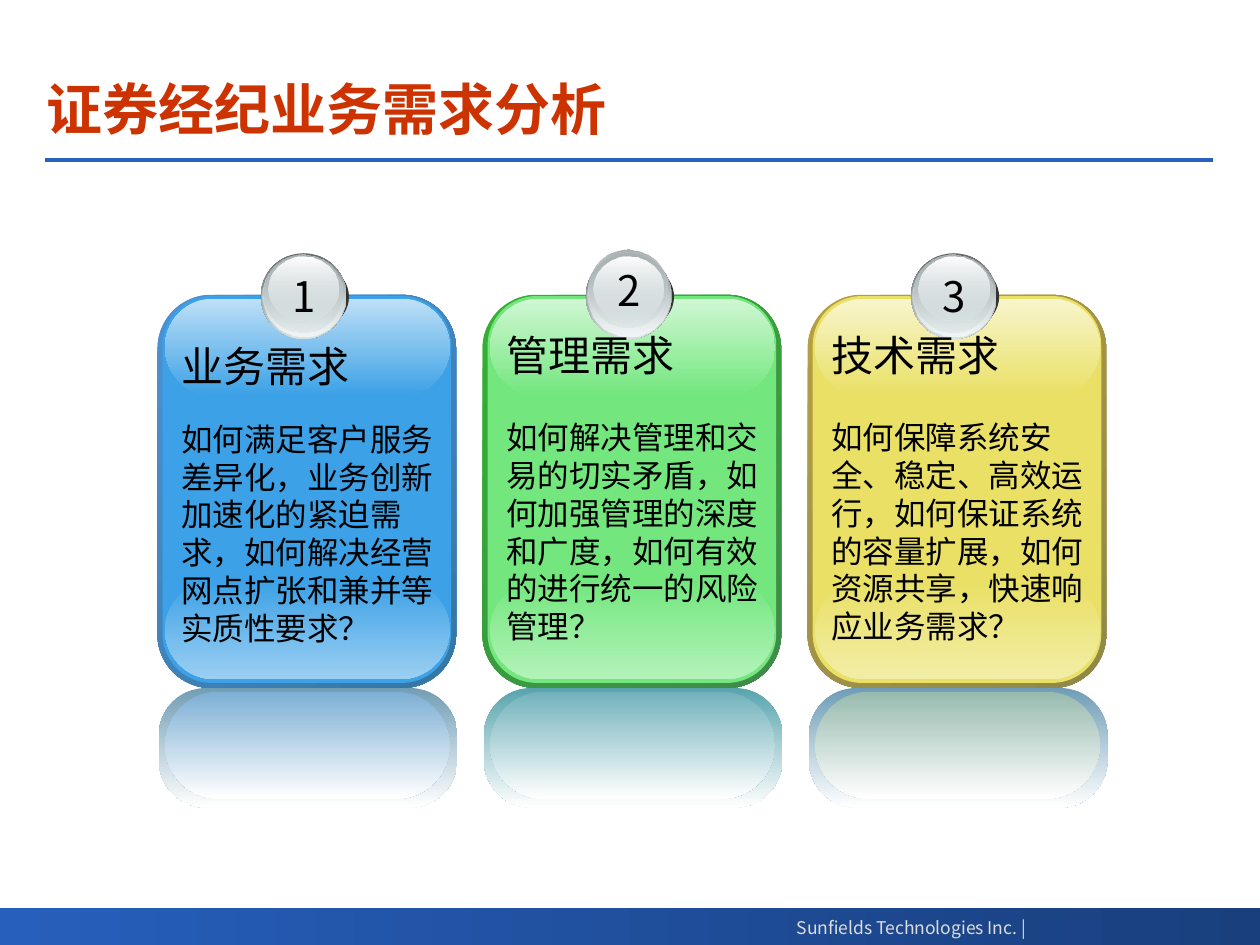
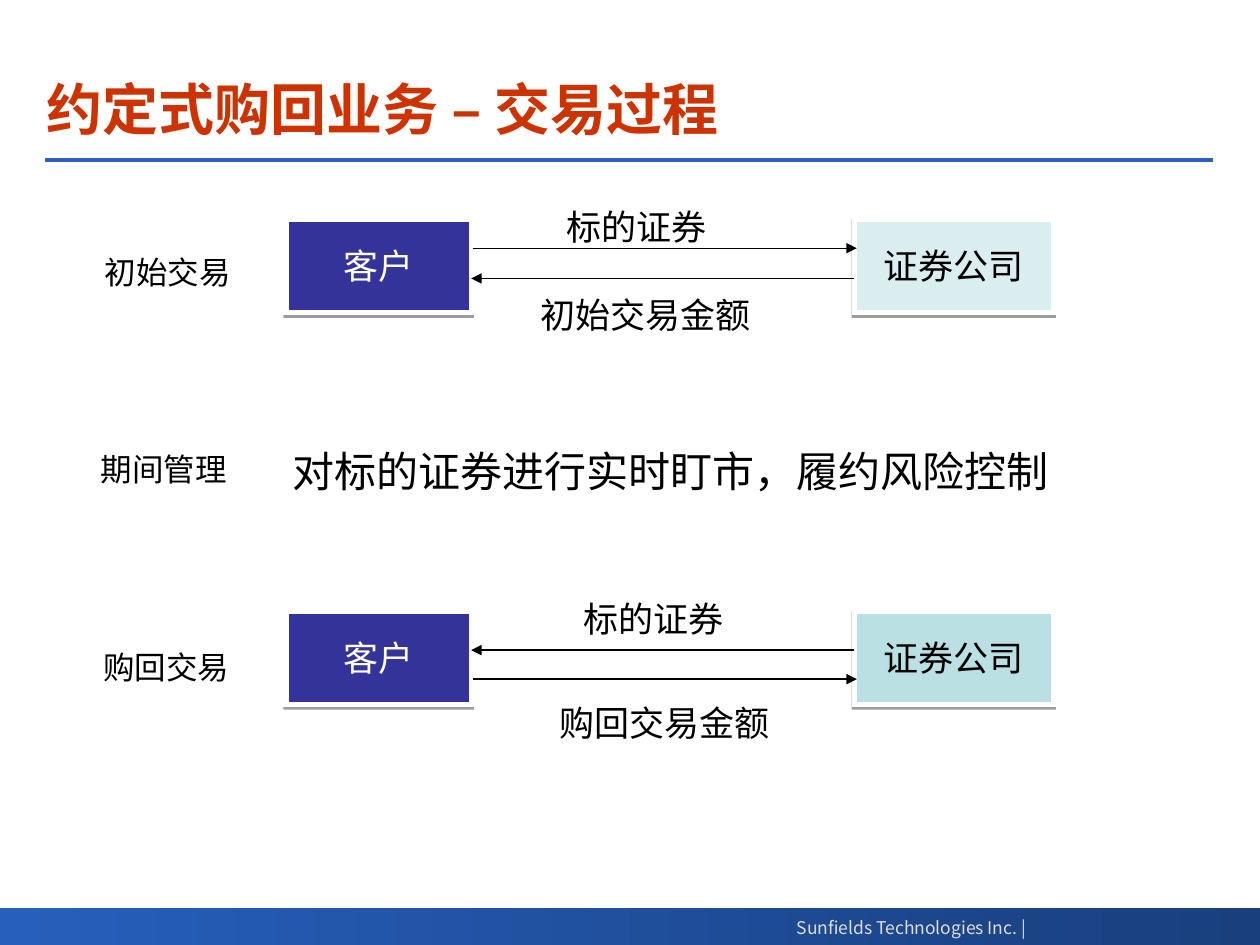
from lxml import etree
from pptx import Presentation
from pptx.dml.color import RGBColor
from pptx.enum.shapes import MSO_CONNECTOR, MSO_SHAPE
from pptx.enum.text import MSO_ANCHOR, PP_ALIGN
from pptx.oxml.ns import qn
from pptx.util import Inches, Pt

FONT = "Noto Sans CJK SC"
FOOTER = "Sunfields Technologies Inc. |"
RGB = RGBColor.from_string
BLACK, WHITE = RGB("000000"), RGB("FFFFFF")
TITLE_RED, RULE_BLUE = RGB("CC3300"), RGB("2A60C0")
BAND_LEFT, BAND_RIGHT = RGB("265FBC"), RGB("193F7D")
FOOTER_GREY, BADGE_SHADE = RGB("DDDDDD"), RGB("333333")
STEEL, SILVER = RGB("636869"), RGB("D6E1E2")
PEARL, PEWTER = RGB("F1F5F5"), RGB("AAB2B3")
NAVY, PALE_TEAL, TEAL = RGB("333399"), RGB("DAEDEF"), RGB("BBE0E3")

NEEDS_TITLE = "证券经纪业务需求分析"
CARDS = [
    dict(number="1", heading="业务需求", gap=16.8, text_top=2.65, number_top=2.1, ring_top=2.02,
         body="如何满足客户服务差异化，业务创新加速化的紧迫需求，如何解决经营网点扩张和兼并等实质性要求？",
         edge=(RGB("4E91D4"), RGB("3477A4")), face=RGB("3CA1E6"),
         top=RGB("BEE0F7"), bottom=RGB("9BCFF2"), mirror=(RGB("729EB4"), RGB("7DAFD4"))),
    dict(number="2", heading="管理需求", gap=21.6, text_top=2.57, number_top=2.05, ring_top=1.98,
         body="如何解决管理和交易的切实矛盾，如何加强管理的深度和广度，如何有效的进行统一的风险管理？",
         edge=(RGB("34B034"), RGB("3F8B4A")), face=RGB("73E77E"),
         top=RGB("D0F7D4"), bottom=RGB("B3F2B9"), mirror=(RGB("58A4AE"), RGB("72B2BB"))),
    dict(number="3", heading="技术需求", gap=21.6, text_top=2.57, number_top=2.1, ring_top=2.02,
         body="如何保障系统安全、稳定、高效运行，如何保证系统的容量扩展，如何资源共享，快速响应业务需求？",
         edge=(RGB("B59F43"), RGB("8F8849")), face=RGB("E9E065"),
         top=RGB("F8F5CC"), bottom=RGB("F2EDA6"), mirror=(RGB("6F9DB7"), RGB("98BAAF"))),
]
CARD_LEFT, CARD_PITCH = 1.25, 2.58

PROCESS_TITLE = "约定式购回业务 – 交易过程"
STAGES = [("初始交易", 0.7, 1.96), ("期间管理", 0.67, 3.53), ("购回交易", 0.69, 5.1)]
MONITORING = "对标的证券进行实时盯市，履约风险控制"
CLIENT, BROKER = "客户", "证券公司"
TRADES = [
    dict(top=1.74, broker_fill=PALE_TEAL, right_y=1.97, left_y=2.21,
         labels=[("初始交易金额", 4.14, 2.28, 1.97, 0.36), ("标的证券", 4.07, 1.58, 1.97, 0.41)]),
    dict(top=4.85, broker_fill=TEAL, right_y=5.39, left_y=5.16,
         labels=[("购回交易金额", 3.91, 5.52, 2.73, 0.44), ("标的证券", 3.98, 4.69, 2.42, 0.41)]),
]


def write(p, text, size=18, color=BLACK, bold=False, align=PP_ALIGN.LEFT):
    p.alignment = align
    p._p.get_or_add_pPr().set("hangingPunct", "0")
    r = p.add_run()
    r.text = text
    r.font.size, r.font.bold, r.font.name = Pt(size), bold, FONT
    r.font.color.rgb = color
    etree.SubElement(r._r.get_or_add_rPr(), qn("a:ea"), typeface=FONT)


def add_text(slide, text, x, y, w, h, wrap=True, anchor=MSO_ANCHOR.TOP, inset=None, **fmt):
    tf = slide.shapes.add_textbox(Inches(x), Inches(y), Inches(w), Inches(h)).text_frame
    tf.word_wrap, tf.vertical_anchor = wrap, anchor
    if inset is not None:
        tf.margin_left = tf.margin_right = tf.margin_top = tf.margin_bottom = Inches(inset)
    write(tf.paragraphs[0], text, **fmt)
    return tf


def add_shape(slide, kind, x, y, w, h, fill, radius=None, angle=90, alphas=(100, 100)):
    sp = slide.shapes.add_shape(kind, Inches(x), Inches(y), Inches(w), Inches(h))
    sp.shadow.inherit = False
    sp.line.fill.background()
    if radius is not None:
        sp.adjustments[0] = radius
    if isinstance(fill, RGBColor):
        sp.fill.solid()
        sp.fill.fore_color.rgb = fill
        return sp
    sp.fill.gradient()
    sp.fill.gradient_angle = (360 - angle) % 360
    for stop, color in zip(sp.fill.gradient_stops, fill):
        stop.color.rgb = color
    for clr, alpha in zip(sp._element.spPr.iter(qn("a:srgbClr")), alphas):
        if alpha < 100:
            etree.SubElement(clr, qn("a:alpha"), val=str(alpha * 1000))
    return sp


def add_box(slide, text, x, y, w, h, fill=WHITE, anchor=MSO_ANCHOR.MIDDLE, **fmt):
    sp = add_shape(slide, MSO_SHAPE.RECTANGLE, x, y, w, h, fill)
    sp.text_frame.word_wrap, sp.text_frame.vertical_anchor = True, anchor
    write(sp.text_frame.paragraphs[0], text, align=PP_ALIGN.CENTER, **fmt)
    return sp


def add_party(slide, text, x, y, w, fill, color):
    sp = add_box(slide, text, x, y, w, 0.74, fill, size=20, color=color)
    sp.line.color.rgb, sp.line.width = WHITE, Pt(3)
    etree.SubElement(sp.line._get_or_add_ln(), qn("a:miter"), lim="800000")
    effects = sp._element.spPr.find(qn("a:effectLst"))
    shadow = etree.SubElement(effects, qn("a:outerShdw"), blurRad="0", dist=str(Pt(1.6)),
                              dir="5400000", rotWithShape="0")
    clr = etree.SubElement(shadow, qn("a:srgbClr"), val=str(BLACK))
    etree.SubElement(clr, qn("a:alpha"), val="38000")


def add_line(slide, x1, x2, y, color=BLACK, width=0.75, arrow=True):
    cx = slide.shapes.add_connector(MSO_CONNECTOR.STRAIGHT, Inches(x1), Inches(y), Inches(x2), Inches(y))
    cx.line.color.rgb, cx.line.width = color, Pt(width)
    if arrow:
        etree.SubElement(cx.line._get_or_add_ln(), qn("a:tailEnd"), type="triangle")
    etree.SubElement(cx._element.spPr, qn("a:effectLst"))


def new_slide(prs, title, title_width):
    slide = prs.slides.add_slide(prs.slide_layouts[5])
    add_shape(slide, MSO_SHAPE.RECTANGLE, 0, 7.21, 10, 0.29, (BAND_LEFT, BAND_RIGHT), angle=0)
    add_line(slide, 0.36, 9.63, 1.27, RULE_BLUE, 2.25, arrow=False)
    add_text(slide, FOOTER, 6.13, 7.23, 2.11, 0.27, wrap=False,
             size=10, color=FOOTER_GREY, align=PP_ALIGN.RIGHT)
    sp = slide.shapes.title
    sp.left, sp.top, sp.width, sp.height = Inches(0.27), Inches(0.52), Inches(title_width), Inches(0.67)
    sp.text_frame.vertical_anchor = MSO_ANCHOR.MIDDLE
    write(sp.text_frame.paragraphs[0], title, size=32, color=TITLE_RED, bold=True)
    return slide


def add_badge(slide, x, card):
    discs = [
        (0.82, 2.07, 0.7, 0.57, BADGE_SHADE, (100, 100)),
        (0.82, 2.01, 0.68, 0.68, (STEEL, SILVER), (100, 100)),
        (0.83, 2.01, 0.66, 0.66, (SILVER, PEARL), (0, 100)),
        (0.84, card["ring_top"], 0.63, 0.62, (PEWTER, SILVER), (100, 48)),
        (0.88, 2.04, 0.56, 0.5, (WHITE, SILVER), (100, 38)),
    ]
    for dx, y, w, h, fill, alphas in discs:
        add_shape(slide, MSO_SHAPE.OVAL, x + dx, y, w, h, fill, alphas=alphas)
    add_text(slide, card["number"], x + 0.97, card["number_top"], 0.39, 0.5, wrap=False, size=24)


def add_card(slide, x, card):
    face, (outer, inner) = card["face"], card["mirror"]
    layers = [
        (0, 2.34, 2.37, 3.12, card["edge"], 0.18, 45),
        (0.04, 2.35, 2.29, 3.07, face, 0.17, 90),
        (0.06, 4.61, 2.26, 0.78, (face, card["bottom"]), 0.5, 90),
        (0.06, 2.37, 2.26, 0.77, (card["top"], face), 0.5, 90),
        (0.01, 5.46, 2.37, 0.95, (outer, WHITE), 0.4, 90),
        (0.06, 5.49, 2.26, 0.85, (inner, WHITE), 0.5, 90),
    ]
    for dx, y, w, h, fill, radius, angle in layers:
        add_shape(slide, MSO_SHAPE.ROUNDED_RECTANGLE, x + dx, y, w, h, fill, radius, angle)
    add_badge(slide, x, card)
    tf = add_text(slide, card["heading"], x + 0.09, card["text_top"], 2.25, 2.6, size=24)
    p = tf.add_paragraph()
    p.space_before = Pt(card["gap"])
    write(p, card["body"])


def build_needs(prs):
    slide = new_slide(prs, NEEDS_TITLE, 6.92)
    for i, card in enumerate(CARDS):
        add_card(slide, CARD_LEFT + i * CARD_PITCH, card)


def build_process(prs):
    slide = new_slide(prs, PROCESS_TITLE, 8.03)
    for name, x, y in STAGES:
        add_box(slide, name, x, y, 1.26, 0.39)
    add_text(slide, MONITORING, 2.32, 3.38, 6.07, 0.71, anchor=MSO_ANCHOR.MIDDLE,
             inset=0, size=24, align=PP_ALIGN.JUSTIFY)
    for trade in TRADES:
        for text, *place in trade["labels"]:
            add_box(slide, text, *place, anchor=MSO_ANCHOR.TOP, size=20)
        add_party(slide, CLIENT, 2.27, trade["top"], 1.47, NAVY, WHITE)
        add_party(slide, BROKER, 6.78, trade["top"], 1.58, trade["broker_fill"], BLACK)
        add_line(slide, 3.75, 6.8, trade["right_y"])
        add_line(slide, 6.78, 3.74, trade["left_y"])


def main():
    prs = Presentation()
    prs.slide_width, prs.slide_height = Inches(10), Inches(7.5)
    build_needs(prs)
    build_process(prs)
    prs.save("out.pptx")


if __name__ == "__main__":
    main()
